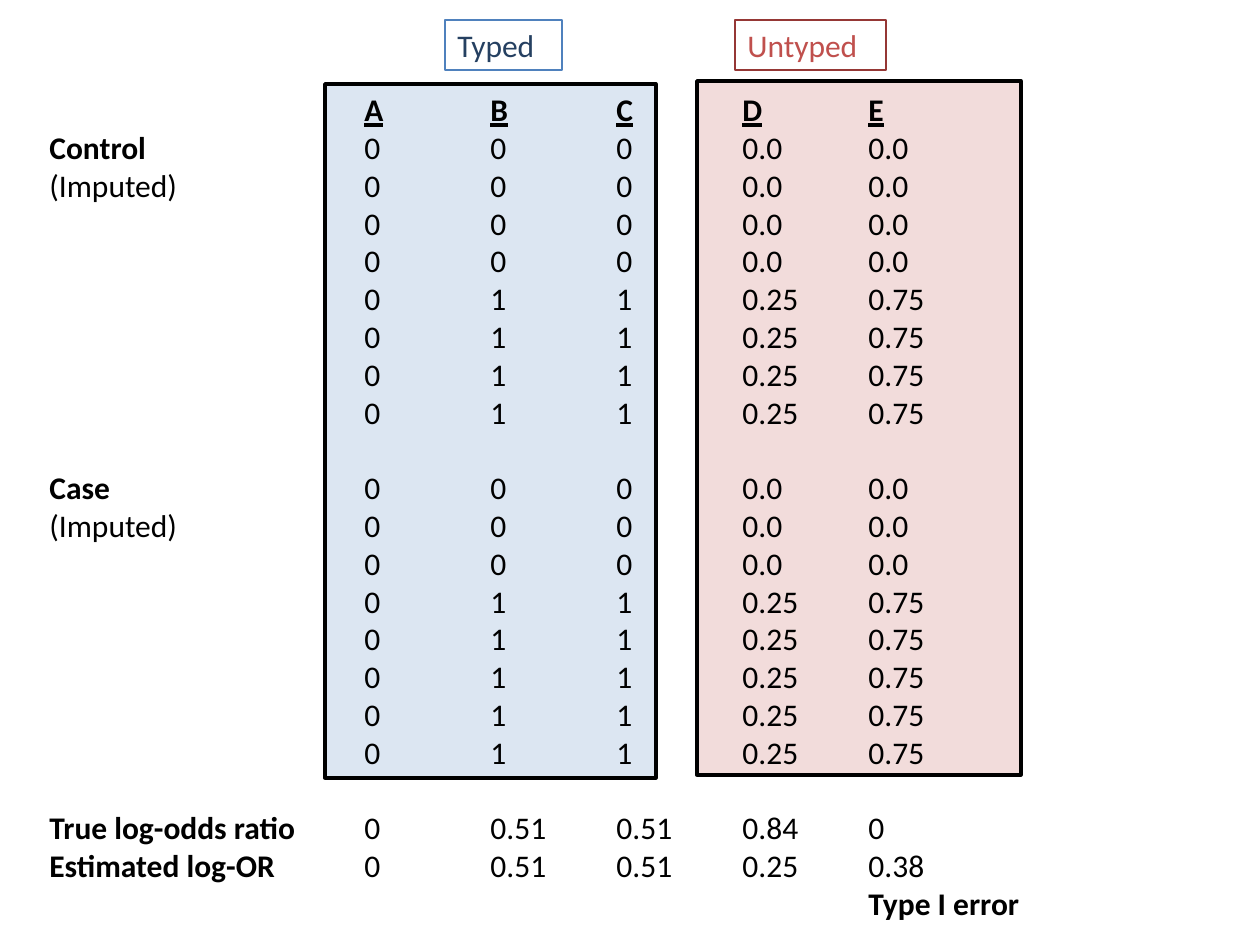
from pptx import Presentation
from pptx import util as u
from pptx.dml.color import RGBColor
from pptx.enum import shapes, text
from pptx.oxml.ns import qn
from lxml import etree

PX = 914400 // 126
INK = {"black": "000000", "sky": "DCE6F2", "rose": "F2DCDB", "blue": "4F81BD",
       "navy": "254061", "wine": "953735", "red": "C0504D"}


class Deck:
    font, size, gap = "Calibri", 18, 21.6

    def __init__(self, wide, high):
        self.prs = Presentation()
        self.prs.slide_width, self.prs.slide_height = wide * PX, high * PX
        self.slide = self.prs.slides.add_slide(self.prs.slide_layouts[6])

    def rgb(self, name):
        return RGBColor.from_string(INK[name])

    def rect(self, box, fill, line, width):
        shp = self.slide.shapes.add_shape(
            shapes.MSO_SHAPE.RECTANGLE, *[n * PX for n in box])
        shp.shadow.inherit = False
        if fill:
            shp.fill.solid()
            shp.fill.fore_color.rgb = self.rgb(fill)
        else:
            shp.fill.background()
        shp.line.color.rgb = self.rgb(line)
        shp.line.width = u.Pt(width)
        return shp

    def run(self, para, words, color="black", bold=False, under=False):
        run = para.add_run()
        run.text = words
        font = run.font
        font.name, font.size = self.font, u.Pt(self.size)
        font.bold, font.underline = bold, under
        font.color.rgb = self.rgb(color)

    def label(self, box, words, line, color):
        frame = self.rect(box, None, line, 0.75).text_frame
        frame.word_wrap = False
        frame.vertical_anchor = text.MSO_ANCHOR.TOP
        para = frame.paragraphs[0]
        para.alignment = text.PP_ALIGN.LEFT
        self.run(para, words, color)

    def tabs(self, para, stops):
        tabs = etree.SubElement(para._p.get_or_add_pPr(), qn("a:tabLst"))
        for stop in stops:
            etree.SubElement(tabs, qn("a:tab"), pos=str(stop * PX), algn="l")

    def grid(self, box, stops, rows):
        """Each row: label, label is bold, cells, cell style, gap above."""
        frame = self.slide.shapes.add_textbox(*[n * PX for n in box]).text_frame
        frame.word_wrap = True
        for i, (name, bold, cells, style, gap) in enumerate(rows):
            para = frame.add_paragraph() if i else frame.paragraphs[0]
            if gap:
                para.space_before = u.Pt(self.gap)
            self.tabs(para, stops)
            if name:
                self.run(para, name, bold=bold)
            for cell in cells:
                self.run(para, "\t")
                if cell:
                    self.run(para, cell, **style)


def group(name, low, high, gap):
    """Rows of one study group: low rows first, then high rows."""
    names = [name, "(Imputed)"] + [""] * (low + high - 2)
    cells = [["0", "0", "0", "0.0", "0.0"]] * low
    cells += [["0", "1", "1", "0.25", "0.75"]] * high
    return [(n, i == 0, c, {}, gap and i == 0)
            for i, (n, c) in enumerate(zip(names, cells))]


deck = Deck(1260, 945)

# Panels behind the columns
deck.rect((697, 81, 324, 694), "rose", "black", 2)
deck.rect((325, 84, 331, 694), "sky", "black", 2)

# Genotype grid and summary rows
rows = [("", False, list("ABCDE"), {"bold": True, "under": True}, False)]
rows += group("Control", 4, 4, False) + group("Case", 3, 5, True)
rows += [
    ("True log-odds ratio", True, ["0", "0.51", "0.51", "0.84", "0"], {}, True),
    ("Estimated log-OR", True, ["0", "0.51", "0.51", "0.25", "0.38"], {}, False),
    ("", False, [""] * 4 + ["Type I error"], {"bold": True}, False),
]
deck.grid((37, 84, 1053, 853), [315 + 126 * i for i in range(5)], rows)

# Panel labels
deck.label((445, 20, 117, 50), "Typed", "blue", "navy")
deck.label((735, 20, 151, 50), "Untyped", "wine", "red")

deck.prs.save("out.pptx")
